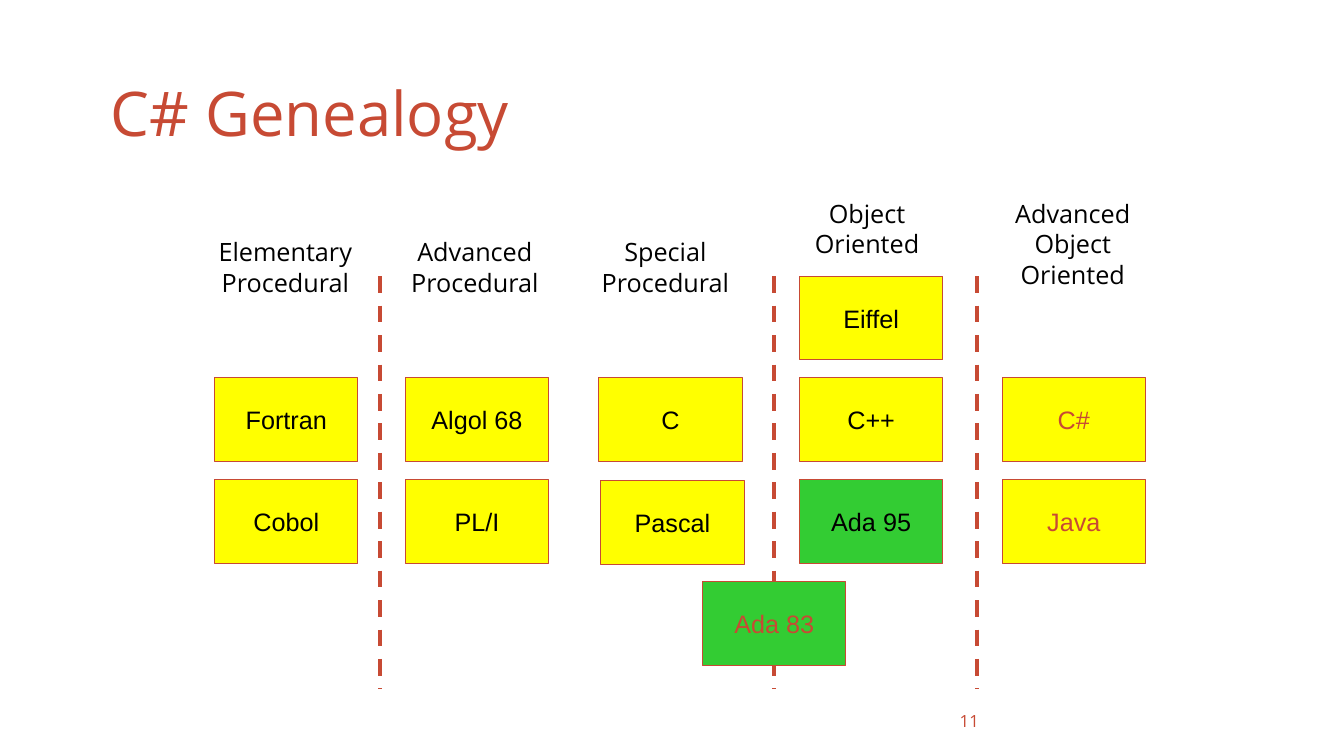
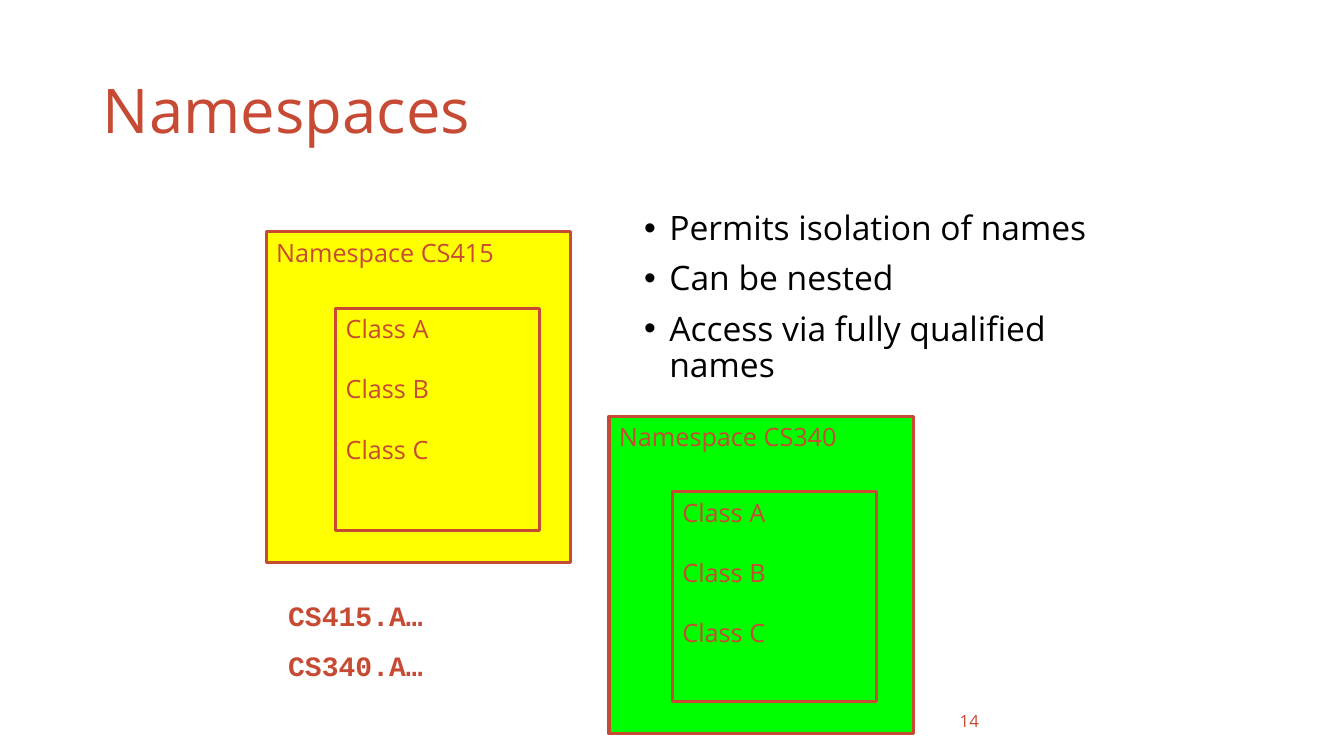
from dataclasses import dataclass

from lxml import etree
from pptx import Presentation
from pptx.dml.color import RGBColor
from pptx.enum.dml import MSO_LINE
from pptx.enum.shapes import MSO_CONNECTOR, MSO_SHAPE
from pptx.enum.text import MSO_ANCHOR, MSO_AUTO_SIZE, PP_ALIGN
from pptx.oxml.ns import qn
from pptx.util import Inches, Pt

RECTANGLE = MSO_SHAPE.RECTANGLE
STRAIGHT = MSO_CONNECTOR.STRAIGHT
DASH = MSO_LINE.DASH
TOP, MIDDLE = MSO_ANCHOR.TOP, MSO_ANCHOR.MIDDLE
LEFT, CENTER = PP_ALIGN.LEFT, PP_ALIGN.CENTER
NO_AUTOFIT = MSO_AUTO_SIZE.NONE

SLIDE_WIDTH, SLIDE_HEIGHT = 13.33, 7.5
TITLE_ONLY_LAYOUT = 5
COLORS = {
    "accent": "C74A34",
    "text": "000000",
    "yellow": "FFFF00",
    "green": "33CC33",
    "lime": "00FF00",
}

# Genealogy grid: column left edges, row pitch and box size
COLUMN_LEFTS = (2.13, 4.02, 5.94, 7.93, 9.94)
FIRST_ROW, ROW_PITCH = 2.74, 1.01
BOX_WIDTH, BOX_HEIGHT = 1.42, 0.83
DIVIDERS = (3.77, 7.68, 9.69)
DIVIDER_BOTTOM = 6.84
HEADING_WIDTH = 1.64


@dataclass(frozen=True)
class Area:
    left: float
    top: float
    width: float
    height: float

    def emu(self) -> tuple:
        return tuple(Inches(n) for n in (self.left, self.top, self.width, self.height))


@dataclass(frozen=True)
class TextStyle:
    size: float
    font: str = "Open Sans"
    color: str = "accent"
    bold: bool = False
    align: int = LEFT
    anchor: int = TOP
    line_spacing: float = 1.0
    space_before: float = 0
    bullet: bool = False


@dataclass(frozen=True)
class Heading:
    text: str
    left: float
    top: float
    height: float


@dataclass(frozen=True)
class Language:
    name: str
    column: int
    row: int
    fill: str = "yellow"
    color: str = "text"
    shift: tuple = (0, 0)


@dataclass(frozen=True)
class Namespace:
    name: str
    outer: Area
    inner: Area
    fill: str


TITLE = TextStyle(44, anchor=MIDDLE, line_spacing=0.9)
PAGE_NUMBER = TextStyle(12, anchor=MIDDLE)
HEADING = TextStyle(18, color="text", align=CENTER)
NAMESPACE = TextStyle(18)
CLASSES = TextStyle(18, space_before=21.5)
BULLETS = TextStyle(24, color="text", line_spacing=0.9, space_before=10, bullet=True)
CODE = TextStyle(20, font="Courier New", bold=True, space_before=11.5)

HEADINGS = (
    Heading("Elementary\nProcedural", 2.01, 2.3, 0.7),
    Heading("Advanced\nProcedural", 3.89, 2.3, 0.7),
    Heading("Special\nProcedural", 5.78, 2.3, 0.7),
    Heading("Object\nOriented", 7.78, 1.92, 0.7),
    Heading("Advanced\nObject\nOriented", 9.82, 1.92, 1.0),
)
LANGUAGES = (
    Language("Fortran", 0, 1),
    Language("Cobol", 0, 2),
    Language("Algol 68", 1, 1),
    Language("PL/I", 1, 2),
    Language("C", 2, 1),
    Language("Pascal", 2, 2, shift=(0.02, 0.01)),
    Language("Eiffel", 3, 0),
    Language("C++", 3, 1),
    Language("Ada 95", 3, 2, fill="green"),
    Language("C#", 4, 1, color="accent"),
    Language("Java", 4, 2, color="accent"),
)
NAMESPACES = (
    Namespace("Namespace CS415", Area(2.64, 2.3, 3.02, 3.28),
              Area(3.33, 3.06, 2.02, 2.2), "yellow"),
    Namespace("Namespace CS340", Area(6.04, 4.13, 3.02, 3.15),
              Area(6.67, 4.88, 2.02, 2.08), "lime"),
)


def rgb(name: str) -> RGBColor:
    return RGBColor.from_string(COLORS[name])


def add_bullet(paragraph) -> None:
    properties = paragraph._p.get_or_add_pPr()
    properties.set("marL", str(Inches(0.25)))
    properties.set("indent", str(-Inches(0.25)))
    font = etree.SubElement(properties, qn("a:buFont"))
    font.set("typeface", "Arial")
    etree.SubElement(properties, qn("a:buChar")).set("char", "•")


def write(shape, lines: tuple, style: TextStyle) -> None:
    """Fill a shape with one paragraph per line, in one style."""
    frame = shape.text_frame
    frame.word_wrap = True
    frame.auto_size = NO_AUTOFIT
    frame.vertical_anchor = style.anchor
    for index, line in enumerate(lines):
        paragraph = frame.paragraphs[0] if index == 0 else frame.add_paragraph()
        paragraph.text = line
        paragraph.alignment = style.align
        paragraph.line_spacing = style.line_spacing
        paragraph.space_before = Pt(style.space_before if index else 0)
        if style.bullet:
            add_bullet(paragraph)
        for run in paragraph.runs:
            run.font.name = style.font
            run.font.size = Pt(style.size)
            run.font.bold = style.bold
            run.font.color.rgb = rgb(style.color)


def add_text(slide, area: Area, lines: tuple, style: TextStyle) -> None:
    write(slide.shapes.add_textbox(*area.emu()), lines, style)


def add_box(slide, area: Area, fill: str, line_width: float,
            lines: tuple, style: TextStyle) -> None:
    shape = slide.shapes.add_shape(RECTANGLE, *area.emu())
    shape.shadow.inherit = False
    shape.fill.solid()
    shape.fill.fore_color.rgb = rgb(fill)
    shape.line.color.rgb = rgb("accent")
    shape.line.width = Pt(line_width)
    write(shape, lines, style)


def add_divider(slide, x: float) -> None:
    connector = slide.shapes.add_connector(
        STRAIGHT, Inches(x), Inches(FIRST_ROW), Inches(x), Inches(DIVIDER_BOTTOM))
    connector.line.color.rgb = rgb("accent")
    connector.line.width = Pt(3)
    connector.line.dash_style = DASH
    etree.SubElement(connector._element.spPr, qn("a:effectLst"))


def add_titled_slide(presentation, title: str, left: float, top: float, number: int):
    slide = presentation.slides.add_slide(presentation.slide_layouts[TITLE_ONLY_LAYOUT])
    shape = slide.shapes.title
    shape.left, shape.top, shape.width, shape.height = Area(left, top, 11.5, 1.45).emu()
    write(shape, (title,), TITLE)
    add_text(slide, Area(9.42, 6.95, 3, 0.4), (str(number),), PAGE_NUMBER)
    return slide


def add_language(slide, name: str, left: float, top: float, fill: str, color: str) -> None:
    style = TextStyle(18, font="Arial", color=color, align=CENTER, anchor=MIDDLE)
    add_box(slide, Area(left, top, BOX_WIDTH, BOX_HEIGHT), fill, 0.75, (name,), style)


def build_genealogy(presentation) -> None:
    slide = add_titled_slide(presentation, "C# Genealogy", 1, 0.43, 11)
    for language in LANGUAGES:
        shift_x, shift_y = language.shift
        add_language(slide, language.name, COLUMN_LEFTS[language.column] + shift_x,
                     FIRST_ROW + language.row * ROW_PITCH + shift_y,
                     language.fill, language.color)
    for x in DIVIDERS:
        add_divider(slide, x)
    for heading in HEADINGS:
        area = Area(heading.left, heading.top, HEADING_WIDTH, heading.height)
        add_text(slide, area, (heading.text,), HEADING)
    # Ada 83 straddles the middle divider
    add_language(slide, "Ada 83", DIVIDERS[1] - BOX_WIDTH / 2,
                 FIRST_ROW + 3 * ROW_PITCH, "green", "accent")


def build_namespaces(presentation) -> None:
    slide = add_titled_slide(presentation, "Namespaces", 0.92, 0.4, 14)
    add_text(slide, Area(6.29, 2.05, 4.98, 4.67),
             ("Permits isolation of names", "Can be nested",
              "Access via fully qualified names"), BULLETS)
    for space in NAMESPACES:
        add_box(slide, space.outer, space.fill, 2.25, (space.name,), NAMESPACE)
        add_box(slide, space.inner, space.fill, 2.25,
                ("Class A", "Class B", "Class C"), CLASSES)
    add_text(slide, Area(2.76, 5.89, 2.46, 0.93), ("CS415.A…", "CS340.A…"), CODE)


def main() -> None:
    presentation = Presentation()
    presentation.slide_width = Inches(SLIDE_WIDTH)
    presentation.slide_height = Inches(SLIDE_HEIGHT)
    build_genealogy(presentation)
    build_namespaces(presentation)
    presentation.save("out.pptx")


if __name__ == "__main__":
    main()
